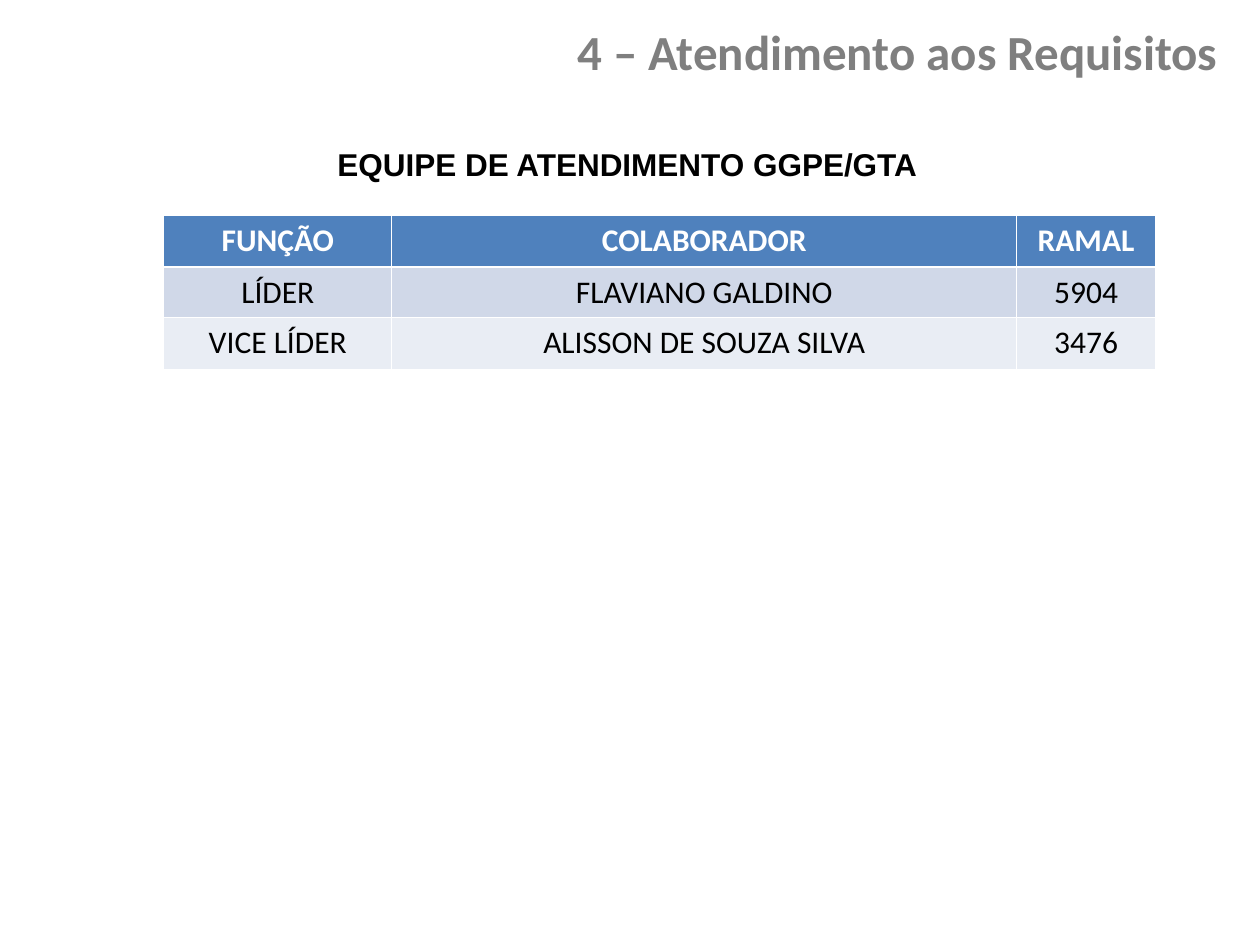
from pptx import Presentation
from pptx.dml.color import RGBColor
from pptx.enum.text import MSO_ANCHOR, PP_ALIGN
from pptx.oxml import parse_xml
from pptx.oxml.ns import nsdecls
from pptx.util import Inches, Pt

CENTER, RIGHT = PP_ALIGN.CENTER, PP_ALIGN.RIGHT
TOP, MIDDLE = MSO_ANCHOR.TOP, MSO_ANCHOR.MIDDLE

WHITE = RGBColor(0xFF, 0xFF, 0xFF)
BLACK = RGBColor(0x00, 0x00, 0x00)
GRAY = RGBColor(0x7F, 0x7F, 0x7F)
BLUE = RGBColor(0x4F, 0x81, 0xBD)
BANDS = [RGBColor(0xD0, 0xD8, 0xE8), RGBColor(0xE9, 0xED, 0xF4)]
THIN, THICK = 0.45, 1.47


class Deck:
    font = "Calibri"
    size = 18

    def __init__(self, slide):
        self.slide = slide

    def text(self, frame, words, color, bold, align, size=None, font=None):
        frame.text = words
        para = frame.paragraphs[0]
        para.alignment = align
        style = para.runs[0].font
        style.name = font or self.font
        style.size = Pt(size or self.size)
        style.bold = bold
        style.color.rgb = color

    def label(self, words, left, top, width, height, color, align,
              anchor=TOP, size=None, font=None):
        box = self.slide.shapes.add_textbox(
            Inches(left), Inches(top), Inches(width), Inches(height))
        frame = box.text_frame
        frame.word_wrap = True
        frame.vertical_anchor = anchor
        self.text(frame, words, color, True, align, size, font)

    def border(self, cell, above, below):
        # Border lines come before the fill in the cell properties
        props = cell._tc.get_or_add_tcPr()
        sides = [("L", THIN), ("R", THIN), ("T", above), ("B", below)]
        for place, (side, width) in enumerate(sides):
            props.insert(place, parse_xml(
                f'<a:ln{side} {nsdecls("a")} w="{Pt(width)}"><a:solidFill>'
                f'<a:srgbClr val="{WHITE}"/></a:solidFill></a:ln{side}>'))

    def table(self, rows, left, top, widths, heights):
        table = self.slide.shapes.add_table(
            len(rows), len(widths), Inches(left), Inches(top),
            Inches(sum(widths)), Inches(sum(heights))).table
        for column, width in zip(table.columns, widths):
            column.width = Inches(width)
        for r, (row, height) in enumerate(zip(rows, heights)):
            table.rows[r].height = Inches(height)
            head = r == 0
            fill = BLUE if head else BANDS[(r - 1) % 2]
            for c, words in enumerate(row):
                cell = table.cell(r, c)
                self.text(cell.text_frame, words,
                          WHITE if head else BLACK, head, CENTER)
                cell.fill.solid()
                cell.fill.fore_color.rgb = fill
                self.border(cell, THICK if r == 1 else THIN,
                            THICK if head else THIN)


def main():
    show = Presentation()
    show.slide_width, show.slide_height = Inches(10), Inches(7.5)
    deck = Deck(show.slides.add_slide(show.slide_layouts[6]))

    # Headings
    deck.label("4 – Atendimento aos Requisitos", 2.19, 0, 7.57, 0.81,
               GRAY, RIGHT, anchor=MIDDLE, size=28)
    deck.label("EQUIPE DE ATENDIMENTO GGPE/GTA", 0.2, 1.1, 9.56, 0.4,
               BLACK, CENTER, font="Arial")

    # Team table
    team = [
        ("FUNÇÃO", "COLABORADOR", "RAMAL"),
        ("LÍDER", "FLAVIANO GALDINO", "5904"),
        ("VICE LÍDER", "ALISSON DE SOUZA SILVA", "3476"),
    ]
    deck.table(team, 1.3, 1.71, [1.81, 4.96, 1.1], [0.41, 0.4, 0.41])

    show.save("out.pptx")


if __name__ == "__main__":
    main()
